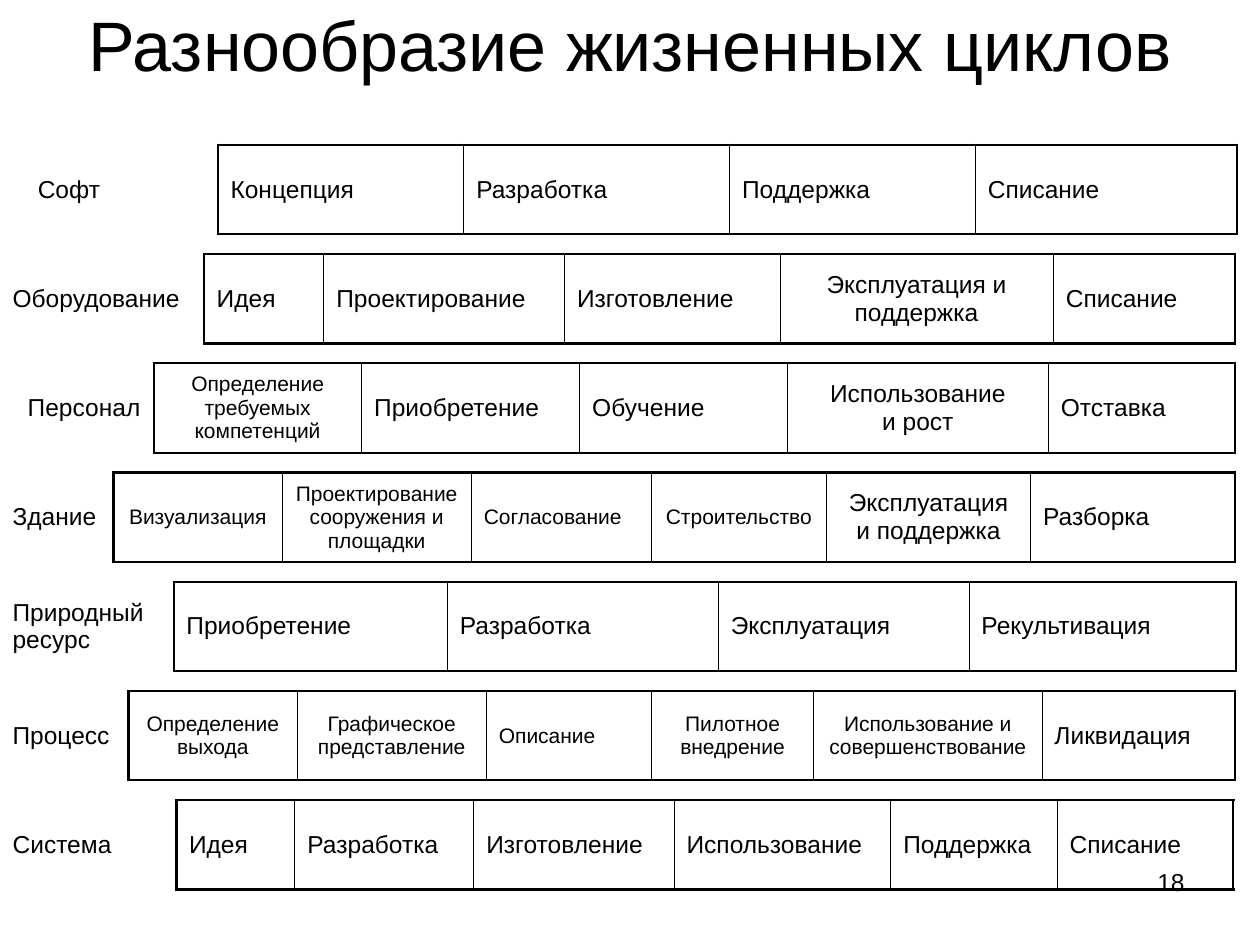
from lxml import etree
from pptx import Presentation
from pptx.dml.color import RGBColor
from pptx.enum import text
from pptx.oxml import ns
from pptx.util import Inches, Pt

LEFT, CENTER, RIGHT = text.PP_ALIGN.LEFT, text.PP_ALIGN.CENTER, text.PP_ALIGN.RIGHT
BLACK = "000000"
THICK, THIN = 1.47, 0.45

NORMAL = {"size": 14, "align": LEFT}
MIDDLE = {"size": 14, "align": CENTER}
SMALL = {"size": 12, "align": LEFT}
SMALL_MIDDLE = {"size": 12, "align": CENTER}

# Each life cycle: left edge, (label, width), then stages (text, width, style)
CYCLES = [
    (0.2, ("Софт", 1.53), [
        ("Концепция", 1.95, NORMAL), ("Разработка", 2.11, NORMAL),
        ("Поддержка", 1.95, NORMAL), ("Списание", 2.08, NORMAL)]),
    (0, ("Оборудование", 1.62), [
        ("Идея", 0.95, NORMAL), ("Проектирование", 1.91, NORMAL),
        ("Изготовление", 1.71, NORMAL), ("Эксплуатация и поддержка", 2.17, MIDDLE),
        ("Списание", 1.44, NORMAL)]),
    (0.12, ("Персонал", 1.1), [
        ("Определение требуемых компетенций", 1.65, SMALL_MIDDLE),
        ("Приобретение", 1.73, NORMAL), ("Обучение", 1.65, NORMAL),
        ("Использование\vи рост", 2.07, MIDDLE), ("Отставка", 1.48, NORMAL)]),
    (0, ("Здание", 0.9), [
        ("Визуализация", 1.34, SMALL_MIDDLE),
        ("Проектирование сооружения и площадки", 1.5, SMALL_MIDDLE),
        ("Согласование", 1.43, SMALL), ("Строительство", 1.39, SMALL_MIDDLE),
        ("Эксплуатация и поддержка", 1.62, MIDDLE), ("Разборка", 1.62, NORMAL)]),
    (0, ("Природный ресурс", 1.38), [
        ("Приобретение", 2.17, NORMAL), ("Разработка", 2.15, NORMAL),
        ("Эксплуатация", 1.99, NORMAL), ("Рекультивация", 2.12, NORMAL)]),
    (0, ("Процесс", 1.02), [
        ("Определение выхода", 1.34, SMALL_MIDDLE),
        ("Графическое представление", 1.5, SMALL_MIDDLE),
        ("Описание", 1.31, SMALL), ("Пилотное внедрение", 1.29, SMALL_MIDDLE),
        ("Использование и совершенствование", 1.81, SMALL_MIDDLE),
        ("Ликвидация", 1.53, NORMAL)]),
    (0, ("Система", 1.4), [
        ("Идея", 0.94, NORMAL), ("Разработка", 1.42, NORMAL),
        ("Изготовление", 1.59, NORMAL), ("Использование", 1.72, NORMAL),
        ("Поддержка", 1.32, NORMAL), ("Списание", 1.4, NORMAL)]),
]
TOP, PITCH, HEIGHT = 1.15, 5.2 / 6, 0.71


def rgb(value):
    return RGBColor.from_string(value)


class Deck:
    """Holds the text style and the current slide."""

    def __init__(self, s, font="Arial", color=BLACK):
        self.s, self.font, self.color = s, font, color

    def set_text(self, tf, words, size, align):
        tf.word_wrap = True
        p = tf.paragraphs[0]
        p.text = words
        p.alignment = align
        for r in p.runs:
            for name, value in {"name": self.font, "size": Pt(size)}.items():
                setattr(r.font, name, value)
            r.font.color.rgb = rgb(self.color)

    def place(self, sp, box):
        for name, value in zip(("left", "top", "width", "height"), box):
            setattr(sp, name, Inches(value))

    def title(self, words, box):
        sp = self.s.shapes.title
        self.place(sp, box)
        sp.text_frame.auto_size = text.MSO_AUTO_SIZE.NONE
        sp.text_frame.vertical_anchor = text.MSO_ANCHOR.MIDDLE
        self.set_text(sp.text_frame, words, 40, CENTER)

    def textbox(self, words, box, size, align):
        sp = self.s.shapes.add_textbox(*map(Inches, box))
        self.set_text(sp.text_frame, words, size, align)

    def borders(self, cell, widths):
        """Widths in points for left, right, top and bottom; 0 draws none."""
        tc_pr = cell._tc.get_or_add_tcPr()
        for side, width in zip("LRTB", widths):
            ln = etree.SubElement(tc_pr, ns.qn(f"a:ln{side}"), w=str(Pt(width)))
            if width:
                fill = etree.SubElement(ln, ns.qn("a:solidFill"))
                etree.SubElement(fill, ns.qn("a:srgbClr"), val=self.color)
            else:
                etree.SubElement(ln, ns.qn("a:noFill"))

    def cycle(self, left, top, label, stages):
        cells = [(*label, NORMAL), *stages]
        last = len(cells) - 1
        total = sum(width for _, width, _ in cells)
        frame = self.s.shapes.add_table(
            1, len(cells), *map(Inches, (left, top, total, HEIGHT)))
        table = frame.table
        table.first_row = table.horz_banding = False
        for i, (words, width, style) in enumerate(cells):
            table.columns[i].width = Inches(width)
            cell = table.cell(0, i)
            cell.vertical_anchor = text.MSO_ANCHOR.MIDDLE
            self.set_text(cell.text_frame, words, **style)
            if i == 0:
                self.borders(cell, (0, THICK, 0, 0))
            else:
                self.borders(cell, (THICK if i == 1 else THIN,
                                    THICK if i == last else THIN, THICK, THICK))
            cell.fill.background()


def main():
    prs = Presentation()
    prs.slide_width, prs.slide_height = Inches(10), Inches(7.5)
    deck = Deck(prs.slides.add_slide(prs.slide_layouts[5]))

    # Title
    deck.title("Разнообразие жизненных циклов", (0.5, 0, 9, 0.69))

    # One table per life cycle, evenly spaced
    for i, (left, label, stages) in enumerate(CYCLES):
        deck.cycle(left, TOP + i * PITCH, label, stages)

    # Slide number
    deck.textbox("18", (7.17, 6.83, 2.33, 0.52), 14, RIGHT)

    prs.save("out.pptx")


if __name__ == "__main__":
    main()
